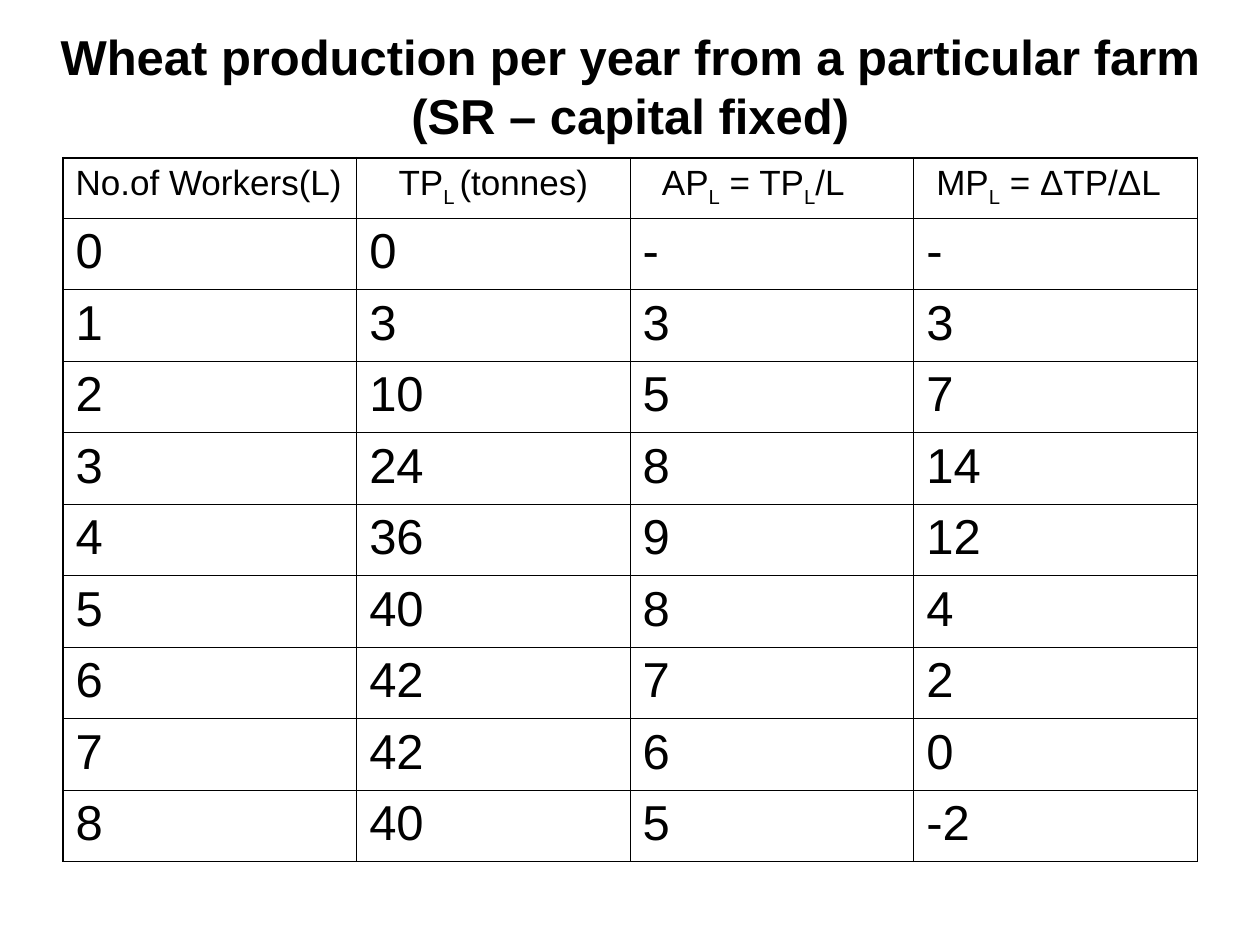
import pptx
import pptx.util
import pptx.dml.color
import pptx.enum.text
import pptx.oxml
import pptx.oxml.ns

Cm = pptx.util.Cm
Pt = pptx.util.Pt


def tint(code):
    return pptx.dml.color.RGBColor.from_string(code)


def write(para, text, size=28, bold=False, color="000000", align="LEFT", indent=0):
    para.alignment = getattr(pptx.enum.text.PP_ALIGN, align)
    if indent:
        para._p.get_or_add_pPr().set("marL", str(Cm(indent)))
    for row, line in enumerate(text.split("\n")):
        if row:
            para.add_line_break()
        for spot, part in enumerate(line.split("_")):
            run = para.add_run()
            run.text = part
            font = run.font
            font.name = "Arial"
            font.size = Pt(size)
            font.bold = bold
            font.color.rgb = tint(color)
            if spot % 2:
                font._element.set("baseline", "-25000")


deck = pptx.Presentation()
deck.slide_width = Cm(25.4)
deck.slide_height = Cm(19.05)
slide = deck.slides.add_slide(deck.slide_layouts[6])

title = slide.shapes.add_textbox(Cm(0.64), Cm(0.84), Cm(24.13), Cm(1.78))
frame = title.text_frame
frame.word_wrap = True
frame.vertical_anchor = pptx.enum.text.MSO_ANCHOR.MIDDLE
write(frame.paragraphs[0],
      "Wheat production per year from a particular farm\n(SR – capital fixed)",
      bold=True, align="CENTER")

heads = [
    ("No.of Workers(L)", 0),
    ("TP_L _(tonnes)", 0.59),
    ("AP_L_ = TP_L_/L", 0.39),
    ("MP_L_ = ΔTP/ΔL", 0.2),
]
crops = [
    ("0", "0", "-", "-"),
    ("1", "3", "3", "3"),
    ("2", "10", "5", "7"),
    ("3", "24", "8", "14"),
    ("4", "36", "9", "12"),
    ("5", "40", "8", "4"),
    ("6", "42", "7", "2"),
    ("7", "42", "6", "0"),
    ("8", "40", "5", "-2"),
]
wide = [5.92, 5.51, 5.72, 5.72]
high = [1.22] + [1.44] * len(crops)

table = slide.shapes.add_table(len(high), len(wide), Cm(1.27), Cm(3.18),
                               Cm(sum(wide)), Cm(sum(high))).table
table.first_row = False
table.horz_banding = False
for col, width in zip(table.columns, wide):
    col.width = Cm(width)
for row, height in zip(table.rows, high):
    row.height = Cm(height)

for col, (text, indent) in enumerate(heads):
    write(table.cell(0, col).text_frame.paragraphs[0], text, size=20, indent=indent)
for row, crop in enumerate(crops, 1):
    for col, text in enumerate(crop):
        write(table.cell(row, col).text_frame.paragraphs[0], text)

space = pptx.oxml.ns.nsdecls("a")
for row in range(len(high)):
    for col in range(len(wide)):
        cell = table.cell(row, col)
        props = cell._tc.get_or_add_tcPr()
        edges = {
            "L": col == 0,
            "R": col == len(wide) - 1,
            "T": row == 0,
            "B": row == len(high) - 1,
        }
        for side, outer in edges.items():
            props.append(pptx.oxml.parse_xml(
                f'<a:ln{side} {space} w="{Pt(1.08 if outer else 0.45)}"><a:solidFill>'
                f'<a:srgbClr val="000000"/></a:solidFill></a:ln{side}>'))
        cell.fill.background()

deck.save("out.pptx")
